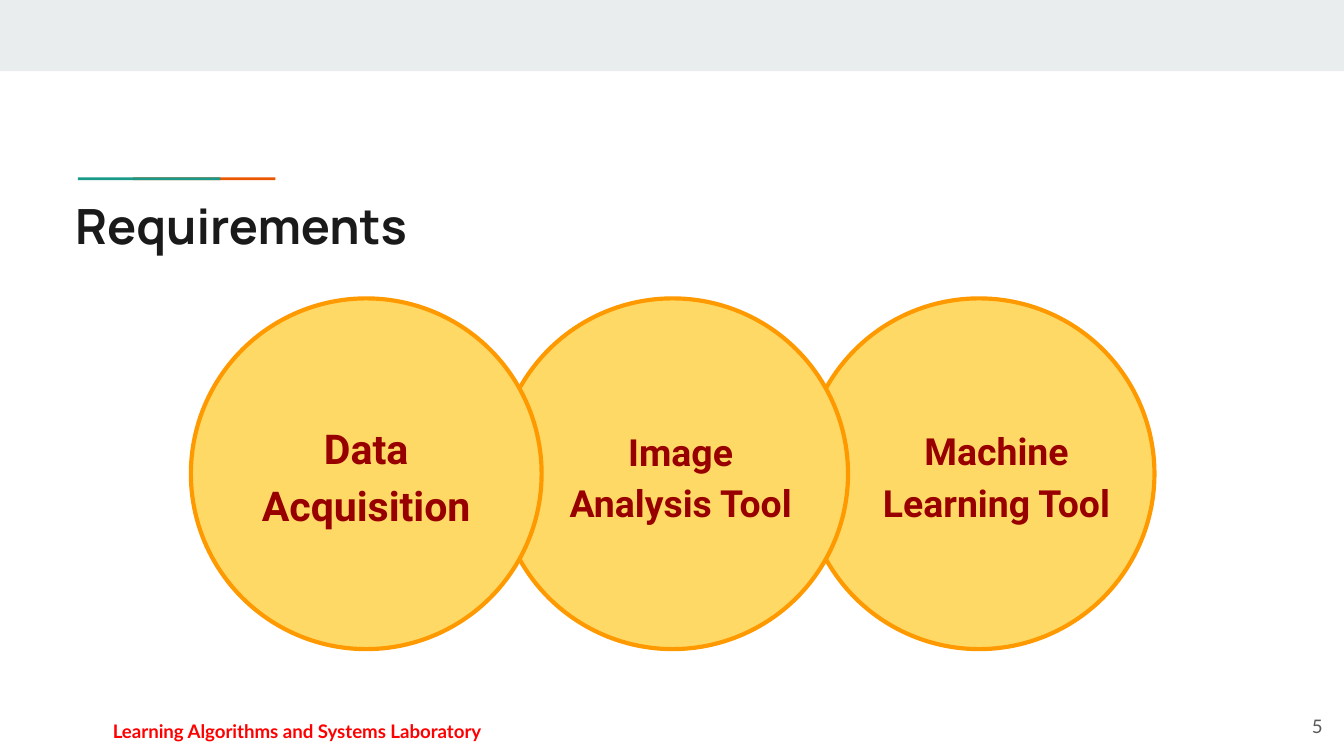
from pptx import Presentation
from pptx.dml.color import RGBColor
from pptx.enum.shapes import MSO_SHAPE
from pptx.enum.text import MSO_ANCHOR, PP_ALIGN
from pptx.util import Inches, Pt

RECTANGLE, OVAL = MSO_SHAPE.RECTANGLE, MSO_SHAPE.OVAL
TOP, MIDDLE = MSO_ANCHOR.TOP, MSO_ANCHOR.MIDDLE
LEFT, CENTER, RIGHT = PP_ALIGN.LEFT, PP_ALIGN.CENTER, PP_ALIGN.RIGHT

SLIDE_WIDTH = 10
SLIDE_HEIGHT = SLIDE_WIDTH * 9 / 16
CIRCLE_LEFT, CIRCLE_TOP, CIRCLE_SIZE, CIRCLE_STEP = 1.42, 2.22, 2.61, 2.28
REQUIREMENTS = [
    (["Data Acquisition"], 22, (1.64, 3.08, 2.17, 0.88)),
    (["Image", "Analysis Tool"], 20, (3.91, 3.06, 2.31, 0.93)),
    (["Machine Learning Tool"], 20, (6.33, 3.06, 2.17, 0.92)),
]


def color(hex_string):
    """Turn a hex string into a colour."""
    return RGBColor.from_string(hex_string)


def add_filled_shape(page, kind, area, fill, line=None):
    """Add a flat shape, outlined only when a line colour is given."""
    shape = page.shapes.add_shape(kind, *map(Inches, area))
    shape.shadow.inherit = False
    shape.fill.solid()
    shape.fill.fore_color.rgb = color(fill)
    if line:
        shape.line.color.rgb = color(line)
        shape.line.width = Pt(2.25)
    else:
        shape.line.fill.background()


def add_text(page, area, lines, font, size, ink, bold=True,
             align=LEFT, anchor=TOP, spacing=1.0):
    """Add a wrapped text box with one paragraph per line."""
    box = page.shapes.add_textbox(*map(Inches, area))
    frame = box.text_frame
    frame.word_wrap = True
    frame.vertical_anchor = anchor
    frame.margin_left = frame.margin_right = Inches(0.1)
    frame.margin_top = frame.margin_bottom = Inches(0.1)
    frame.text = "\n".join(lines)
    for para in frame.paragraphs:
        para.alignment = align
        para.line_spacing = spacing
        para.font.name = font
        para.font.size = Pt(size)
        para.font.bold = bold
        para.font.color.rgb = color(ink)


def add_requirements(page):
    """Add the overlapping circles, the first one in front."""
    for index, (lines, size, area) in reversed(list(enumerate(REQUIREMENTS))):
        left = CIRCLE_LEFT + index * CIRCLE_STEP
        add_filled_shape(page, OVAL, (left, CIRCLE_TOP, CIRCLE_SIZE, CIRCLE_SIZE),
                         "FFD966", "FF9900")
        add_text(page, area, lines, "Roboto", size, "980000",
                 align=CENTER, anchor=MIDDLE, spacing=1.15)


def main():
    """Build the requirements slide and save it."""
    deck = Presentation()
    deck.slide_width, deck.slide_height = Inches(SLIDE_WIDTH), Inches(SLIDE_HEIGHT)
    page = deck.slides.add_slide(deck.slide_layouts[6])
    add_filled_shape(page, RECTANGLE, (0, 0, SLIDE_WIDTH, 0.53), "E9EDEE")
    for left, fill in ((0.99, "EB5600"), (0.58, "1A9988")):
        add_filled_shape(page, RECTANGLE, (left, 1.32, 1.06, 0.02), fill)
    add_text(page, (0.71, 5.27, 3, 0.31), ["Learning Algorithms and Systems Laboratory"],
             "Lato", 10, "FF0000", align=CENTER)
    add_text(page, (0.46, 1.36, 8.41, 0.59), ["Requirements"], "Manrope", 26, "1A1A1A")
    add_text(page, (9.34, 5.19, 0.6, 0.43), ["5"], "Lato", 10, "595959",
             bold=False, align=RIGHT, anchor=MIDDLE)
    add_requirements(page)
    deck.save("out.pptx")


if __name__ == "__main__":
    main()
